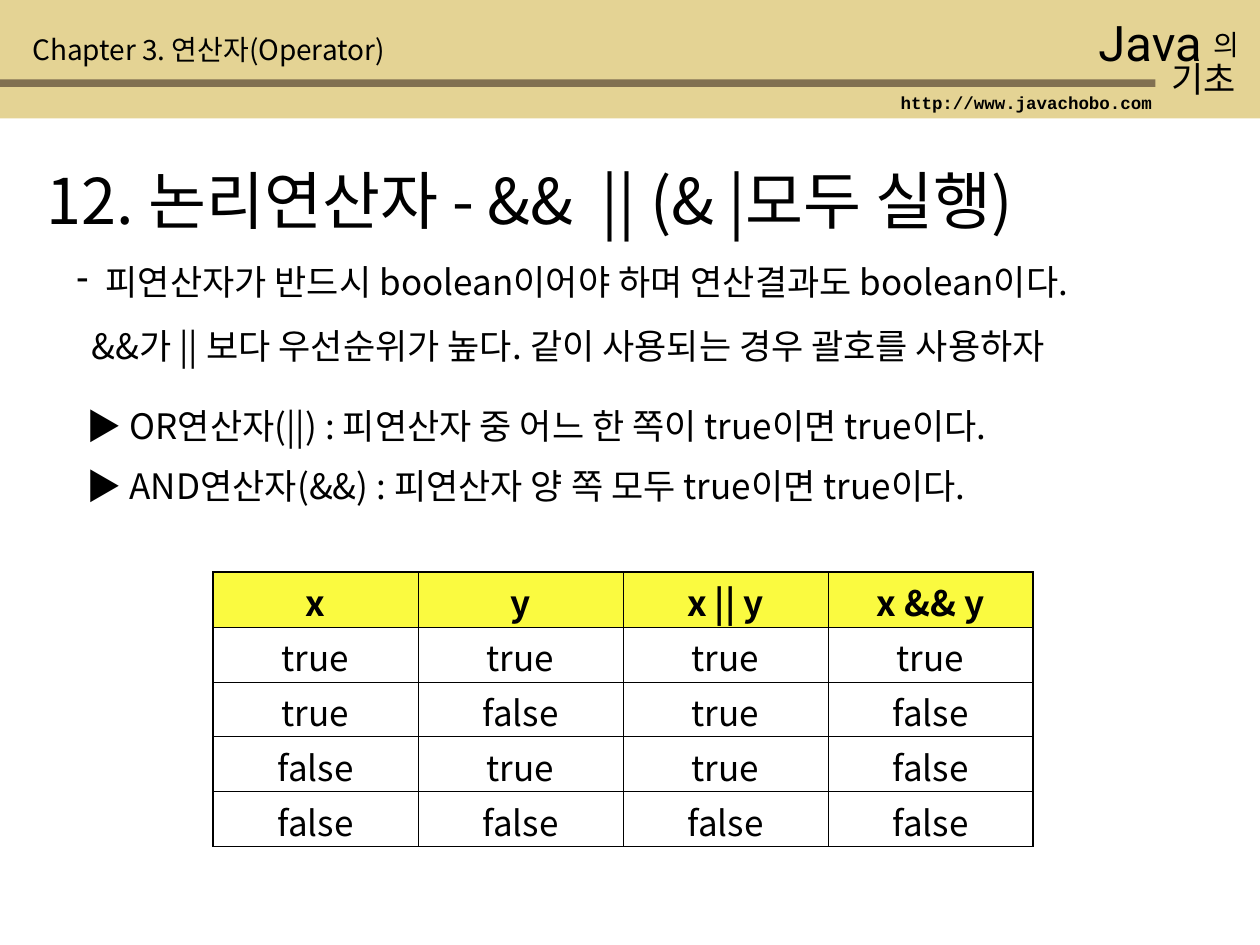
from dataclasses import dataclass

from lxml.etree import SubElement
from pptx import Presentation
from pptx.dml.color import RGBColor
from pptx.enum.shapes import MSO_SHAPE
from pptx.enum.text import MSO_ANCHOR, MSO_AUTO_SIZE, PP_ALIGN
from pptx.oxml.ns import qn
from pptx.util import Inches, Pt


@dataclass(frozen=True)
class Theme:
    black: RGBColor = RGBColor(0x00, 0x00, 0x00)
    white: RGBColor = RGBColor(0xFF, 0xFF, 0xFF)
    sand: RGBColor = RGBColor(0xE4, 0xD3, 0x94)
    brown: RGBColor = RGBColor(0x81, 0x70, 0x51)
    yellow: RGBColor = RGBColor(0xFA, 0xFA, 0x40)
    korean: str = "Noto Sans CJK KR"
    heading: str = "Roboto"
    mono: str = "Courier New"
    title: int = 36
    language: int = 28
    body: int = 20
    chapter: int = 16
    url: int = 10
    outer_line: float = 1.08
    inner_line: float = 0.45


theme = Theme()


def add_run(paragraph, text, size, font=theme.korean, bold=False):
    run = paragraph.add_run()
    run.text = text
    run.font.size = Pt(size)
    run.font.name = font
    run.font.bold = bold
    run.font.color.rgb = theme.black
    SubElement(run.font._element, qn("a:ea"), typeface=font)


def prepare_frame(box, left, top, width, height):
    """Place a text-bearing shape and return its frame, wrapped and centred vertically."""
    box.left, box.top = Inches(left), Inches(top)
    box.width, box.height = Inches(width), Inches(height)
    frame = box.text_frame
    frame.word_wrap = True
    frame.auto_size = MSO_AUTO_SIZE.NONE
    frame.vertical_anchor = MSO_ANCHOR.MIDDLE
    return frame


prs = Presentation()
prs.slide_width, prs.slide_height = Inches(10), Inches(7.5)
slide = prs.slides.add_slide(prs.slide_layouts[5])
shapes = slide.shapes

# Header band and rule
for top, width, height, color in [(0, 10, 0.94, theme.sand), (0.63, 9.17, 0.06, theme.brown)]:
    band = shapes.add_shape(MSO_SHAPE.RECTANGLE, 0, Inches(top), Inches(width), Inches(height))
    band.shadow.inherit = False
    band.fill.solid()
    band.fill.fore_color.rgb = color
    band.line.fill.background()

# Title
title_frame = prepare_frame(shapes.title, 0.27, 1.23, 9.45, 0.7)
title_frame.paragraphs[0].alignment = PP_ALIGN.LEFT
add_run(title_frame.paragraphs[0], "12. 논리연산자 - &&  || (& |모두 실행)", theme.title)

# Header texts and operator descriptions
single_lines = [
    ((8.62, 0.05, 1.33, 0.57), "Java", theme.language, theme.heading, False),
    ((9.53, 0.17, 0.59, 0.37), "의", theme.chapter, theme.korean, False),
    ((9.2, 0.4, 0.89, 0.44), "기초", theme.body, theme.korean, False),
    ((7.05, 0.68, 2.3, 0.27), "http://www.javachobo.com", theme.url, theme.mono, True),
    ((0.16, 0.21, 4.33, 0.37), "Chapter 3. 연산자(Operator)", theme.chapter, theme.korean, False),
    ((0.59, 3.16, 9.33, 0.44), "▶ OR연산자(||) : 피연산자 중 어느 한 쪽이 true이면 true이다.",
     theme.body, theme.korean, False),
    ((0.59, 3.63, 9.33, 0.44), "▶ AND연산자(&&) : 피연산자 양 쪽 모두 true이면 true이다.",
     theme.body, theme.korean, False),
]
for place, text, size, font, bold in single_lines:
    frame = prepare_frame(shapes.add_textbox(0, 0, 0, 0), *place)
    add_run(frame.paragraphs[0], text, size, font, bold)

# Rules for the operands: a dash item and its indented continuation
rules = prepare_frame(shapes.add_textbox(0, 0, 0, 0), 0.51, 2.02, 9.49, 0.94)
dash_item = rules.paragraphs[0]
dash_format = dash_item._p.get_or_add_pPr()
dash_format.set("marL", str(Inches(0.23)))
dash_format.set("indent", str(-Inches(0.23)))
SubElement(dash_format, qn("a:buChar"), char="-")
add_run(dash_item, "피연산자가 반드시 boolean이어야 하며 연산결과도 boolean이다.", theme.body)
precedence = rules.add_paragraph()
precedence._p.get_or_add_pPr().set("marL", str(Inches(0.12)))
precedence.space_before = Pt(12.5)
add_run(precedence, "&&가 || 보다 우선순위가 높다. 같이 사용되는 경우 괄호를 사용하자", theme.body)

# Truth table
truth_rows = [
    ("x", "y", "x || y", "x && y"),
    ("true", "true", "true", "true"),
    ("true", "false", "true", "false"),
    ("false", "true", "true", "false"),
    ("false", "false", "false", "false"),
]
last_row, last_col = len(truth_rows) - 1, len(truth_rows[0]) - 1
truth_table = shapes.add_table(
    last_row + 1, last_col + 1, Inches(1.69), Inches(4.54), Inches(6.51), Inches(2.18)
).table
truth_table.first_row = truth_table.horz_banding = False
for r, values in enumerate(truth_rows):
    for c, value in enumerate(values):
        cell = truth_table.cell(r, c)
        cell.margin_top, cell.margin_bottom = Inches(0.03), 0
        edges = {"lnL": c == 0, "lnR": c == last_col, "lnT": r == 0, "lnB": r == last_row}
        for side, is_outer in edges.items():
            width = Pt(theme.outer_line if is_outer else theme.inner_line)
            border = SubElement(cell._tc.get_or_add_tcPr(), qn(f"a:{side}"), w=str(width))
            border_fill = SubElement(border, qn("a:solidFill"))
            SubElement(border_fill, qn("a:srgbClr"), val=str(theme.black))
        cell.fill.solid()
        cell.fill.fore_color.rgb = theme.yellow if r == 0 else theme.white
        paragraph = cell.text_frame.paragraphs[0]
        paragraph.alignment = PP_ALIGN.CENTER
        add_run(paragraph, value, theme.body, bold=r == 0)

prs.save("out.pptx")
